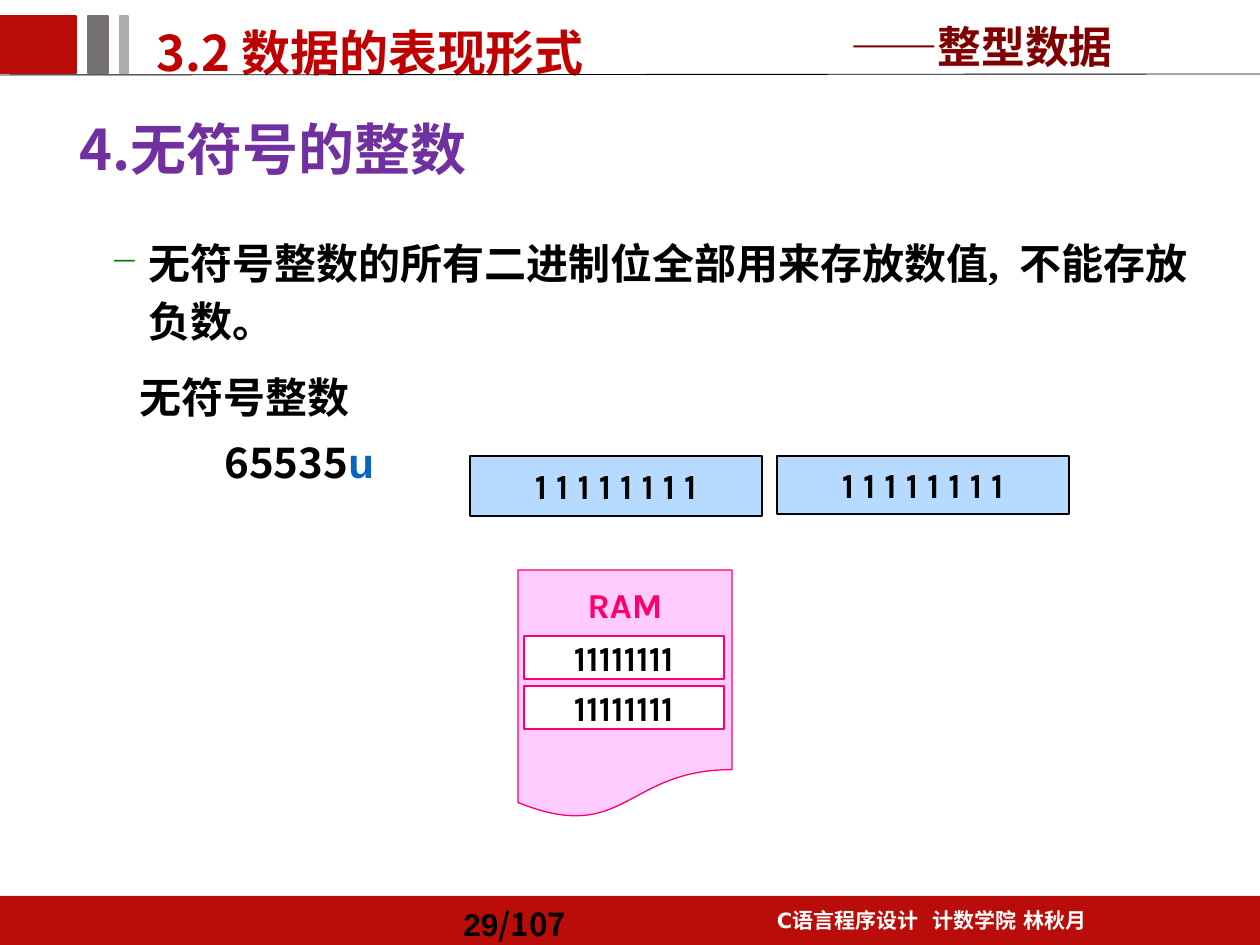
from lxml import etree
from pptx import Presentation
from pptx.dml.color import RGBColor
from pptx.enum import shapes, text
from pptx.oxml.ns import qn
from pptx.util import Pt

PX = 914400 / 126
COLORS = {
    "red": "BA0D09", "title": "C00000", "maroon": "800000", "purple": "7030A0",
    "gray": "767171", "silver": "AFABAB", "black": "000000", "white": "FFFFFF",
    "blue": "B7DBFF", "suffix": "0563C1", "pink": "FFCCFF", "magenta": "FF0066",
    "bullet": "008000",
}
CJK = "Noto Sans CJK SC"
MSO = shapes.MSO_SHAPE
LEFT, CENTER = text.PP_ALIGN.LEFT, text.PP_ALIGN.CENTER
TOP, MIDDLE, BOTTOM = text.MSO_ANCHOR.TOP, text.MSO_ANCHOR.MIDDLE, text.MSO_ANCHOR.BOTTOM


def add_block(kind, box, fill=None, line=None, width=0.75):
    """Add a filled preset shape, or a text box when kind is None."""
    place = [int(v * PX) for v in box]
    if kind is None:
        return slide.shapes.add_textbox(*place)
    block = slide.shapes.add_shape(kind, *place)
    block.shadow.inherit = False
    block.fill.solid()
    block.fill.fore_color.rgb = RGBColor.from_string(COLORS[fill])
    if line:
        block.line.color.rgb = RGBColor.from_string(COLORS[line])
        block.line.width = Pt(width)
    else:
        block.line.fill.background()
    return block


def write(block, runs, size, align=LEFT, anchor=TOP, spacing=1.0, before=0, wrap=True, more=False):
    """Write one paragraph of (words, font, colour) runs; more adds it below the others."""
    frame = block.text_frame
    frame.word_wrap = wrap
    frame.auto_size = text.MSO_AUTO_SIZE.NONE
    frame.vertical_anchor = anchor
    paragraph = frame.add_paragraph() if more else frame.paragraphs[0]
    paragraph.alignment = align
    paragraph.line_spacing = spacing
    paragraph.space_before = Pt(before)
    for words, font, color in runs:
        run = paragraph.add_run()
        run.text = words
        run.font.size, run.font.bold, run.font.name = Pt(size), True, font
        run.font.color.rgb = RGBColor.from_string(COLORS[color])
        east_asian = CJK if font == "Arial" else font
        latin = run.font._element.find(qn("a:latin"))
        latin.addnext(latin.makeelement(qn("a:ea"), {"typeface": east_asian}))
    return paragraph


prs = Presentation()
prs.slide_width, prs.slide_height = int(1260 * PX), int(945 * PX)
slide = prs.slides.add_slide(prs.slide_layouts[5])

# Header: colour blocks and rule
for left, width, color in ((0, 76, "red"), (88, 20, "gray"), (120, 8, "silver")):
    add_block(MSO.RECTANGLE, (left, 16, width, 57), color, color, 1)
rule = slide.shapes.add_connector(
    shapes.MSO_CONNECTOR.STRAIGHT, 0, int(75 * PX), int(1260 * PX), int(74 * PX))
rule.line.color.rgb = RGBColor.from_string(COLORS["black"])
rule.line.width = Pt(0.5)
etree.SubElement(rule._element.spPr, qn("a:effectLst"))

# Header: title and topic
title = slide.shapes.title
title.left, title.top, title.width, title.height = [int(v * PX) for v in (144, 4, 699, 83)]
write(title, [("3.2 数据的表现形式", CJK, "title")], 28, spacing=1.2, before=5.6)
topic = add_block(None, (838, 13, 422, 65))
write(topic, [("——整型数据", "Arial", "maroon")], 25, anchor=BOTTOM)

# Footer
add_block(MSO.RECTANGLE, (0, 896, 1260, 49), "red")
course = add_block(None, (709, 896, 446, 43))
write(course, [("C语言程序设计  计数学院 林秋月", "DejaVu Sans", "white")], 12,
      align=CENTER, spacing=1.2, before=2.4)
page = add_block(None, (451, 896, 179, 49))
write(page, [("29", "Arial", "black"), ("/107", CJK, "black")], 18,
      anchor=MIDDLE, spacing=1.2, before=3.6)

# Section heading
heading = add_block(None, (67, 95, 1164, 733))
write(heading, [("4.无符号的整数", CJK, "purple")], 32, spacing=1.2, before=6.4)

# Explanation and example
body = add_block(None, (98, 224, 1123, 563))
rule_text = write(body, [
    ("无符号整数的所有二进制位全部用来存放数值", CJK, "black"),
    (",  ", "Times New Roman", "black"),
    ("不能存放负数。", CJK, "black"),
], 24, spacing=1.15, before=7.5)
example = write(body, [("无符号整数", CJK, "black")], 24, spacing=1.25, before=7.2, more=True)
literal = write(body, [("65535", CJK, "black"), ("u", "Arial", "suffix")], 24,
                spacing=1.25, before=1.2, more=True)
for paragraph, margin, indent in ((rule_text, 38, -38), (example, 29, 0), (literal, 114, 0)):
    props = paragraph._p.get_or_add_pPr()
    props.set("marL", str(int(margin * PX)))
    props.set("indent", str(int(indent * PX)))
bullet_props = rule_text._p.get_or_add_pPr()
bullet_color = etree.SubElement(bullet_props, qn("a:buClr"))
etree.SubElement(bullet_color, qn("a:srgbClr"), val=COLORS["bullet"])
etree.SubElement(bullet_props, qn("a:buSzPct"), val="85000")
etree.SubElement(bullet_props, qn("a:buChar"), char="−")

# Two bytes of the number
for left, height in ((470, 60), (777, 58)):
    byte = add_block(MSO.RECTANGLE, (left, 456, 292, height), "blue", "black")
    write(byte, [("1 1 1 1 1 1 1 1", "Karla", "black")], 20, CENTER, MIDDLE, wrap=False)

# Memory with the stored bytes
add_block(MSO.FLOWCHART_DOCUMENT, (518, 570, 214, 249), "pink", "magenta")
for top in (636, 686):
    cell = add_block(MSO.RECTANGLE, (524, top, 200, 43), "white", "magenta")
    write(cell, [("11111111", "Karla", "black")], 20, CENTER, MIDDLE, wrap=False)
ram = add_block(MSO.RECTANGLE, (543, 577, 164, 54), "pink")
write(ram, [("RAM", "Karla", "magenta")], 20, CENTER)

prs.save("out.pptx")
